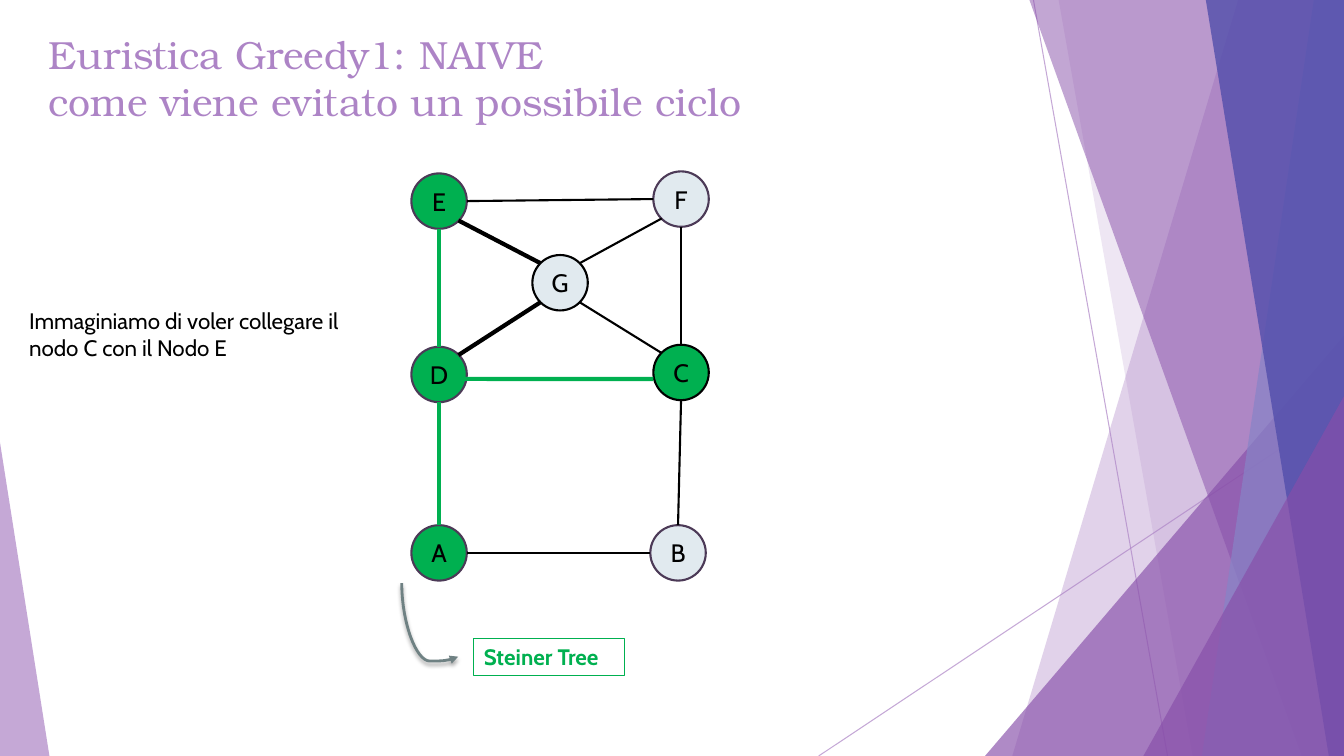
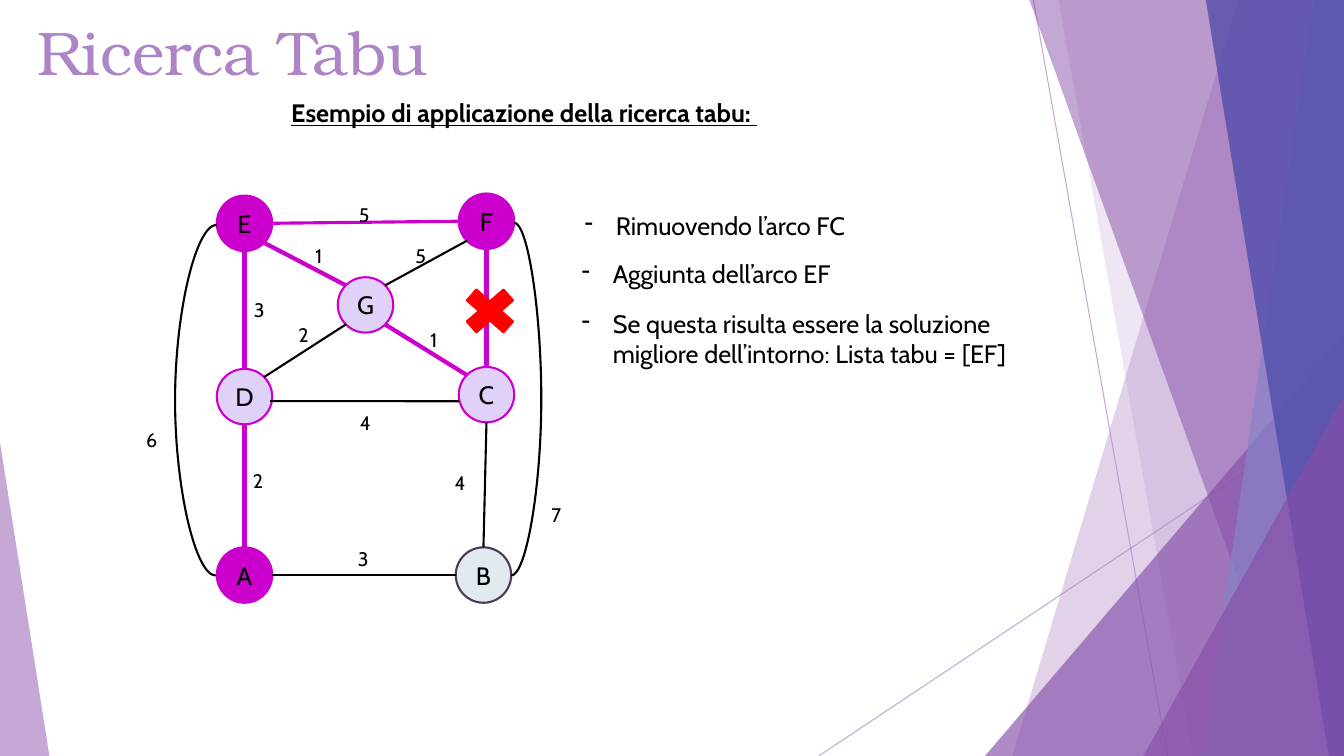
from lxml import etree
from pptx import Presentation
from pptx.dml.color import RGBColor
from pptx.enum.shapes import MSO_CONNECTOR, MSO_SHAPE
from pptx.enum.text import MSO_ANCHOR, MSO_AUTO_SIZE, PP_ALIGN
from pptx.oxml.ns import qn
from pptx.util import Inches, Pt

STRAIGHT, CURVE = MSO_CONNECTOR.STRAIGHT, MSO_CONNECTOR.CURVE
ELLIPSE, TRIANGLE = MSO_SHAPE.OVAL, MSO_SHAPE.ISOSCELES_TRIANGLE
CROSS = MSO_SHAPE.MATH_MULTIPLY
LEFT, CENTER = PP_ALIGN.LEFT, PP_ALIGN.CENTER
TOP, MIDDLE = MSO_ANCHOR.TOP, MSO_ANCHOR.MIDDLE

BLACK = RGBColor(0x00, 0x00, 0x00)
LILAC = RGBColor(0xAD, 0x84, 0xC6)
VIOLET = RGBColor(0x87, 0x4E, 0xA9)
PERIWINKLE = RGBColor(0x87, 0x84, 0xC7)
INDIGO = RGBColor(0x52, 0x4E, 0xAB)
PLUM = RGBColor(0x4C, 0x3A, 0x57)
GREEN = RGBColor(0x00, 0xB0, 0x50)
RED = RGBColor(0xFF, 0x00, 0x00)
MAGENTA = RGBColor(0xCC, 0x00, 0xCC)
PALE_LILAC = RGBColor(0xDF, 0xD1, 0xF7)
PALE_GREY = RGBColor(0xE1, 0xEA, 0xEF)
SLATE = RGBColor(0x6F, 0x81, 0x83)

WIDTH, HEIGHT = 13.33, 7.5
TITLE_FONT, BODY_FONT = "TeX Gyre Bonum", "Cabin"

# Background, back to front: lines (begin, end), then
# bands (top x, bottom x, colour, opacity) and
# triangles (left, top, width, apex, colour, opacity)
THIN_LINES = [((10.25, 0), (11.58, HEIGHT)), ((WIDTH, 4.03), (8.12, HEIGHT))]
FACETS = [
    (12.28, 10.04, LILAC, 36),
    (10.5, 11.83, LILAC, 20),
    (9.77, 3.33, 3.56, 1, VIOLET, 66),
    (10.21, 12.91, VIOLET, 50),
    (13.03, 11.92, PERIWINKLE, 70),
    (11.96, 13.18, INDIGO, 80),
    (11.34, 3.93, 1.99, 1, VIOLET, 66),
    (0, 4.39, 0.49, 0, LILAC, 70),
]

# Graph: node corners measured from node E, edges as pairs of sites
NODE_SIZE = 0.55
NODES = {"E": (0, 0), "F": (2.4, -0.02), "G": (1.2, 0.81), "D": (0, 1.72),
         "C": (2.4, 1.7), "A": (0, 3.49), "B": (2.37, 3.49)}
SITES = {"top": (0.5, 0), "left": (0, 0.5), "bottom": (0.5, 1), "right": (1, 0.5),
         "top left": (0.15, 0.15), "top right": (0.85, 0.15),
         "bottom left": (0.15, 0.85), "bottom right": (0.85, 0.85),
         "low left": (0, 0.62), "low right": (0.96, 0.58)}
EDGES = {
    "EF": ("right", "left"),
    "ED": ("bottom", "top"),
    "DA": ("bottom", "top"),
    "FC": ("bottom", "top"),
    "CB": ("bottom", "top"),
    "AB": ("right", "left"),
    "EG": ("bottom right", "top left"),
    "DG": ("top right", "bottom left"),
    "GC": ("bottom right", "top left"),
    "FG": ("bottom left", "top right"),
    "DC": ("low right", "low left"),
}
PLAIN_EDGE = (BLACK, 1.5)

# Slide 1: node (fill, line) and edge (colour, width)
NAIVE_TITLE = ["Euristica Greedy1: NAIVE", "come viene evitato un possibile ciclo"]
NAIVE_NODES = {**dict.fromkeys("EDA", (GREEN, PLUM)), **dict.fromkeys("FB", (PALE_GREY, PLUM)),
               "C": (GREEN, BLACK), "G": (PALE_GREY, BLACK)}
NAIVE_EDGES = {**dict.fromkeys(["ED", "DA", "DC"], (GREEN, 3)),
               **dict.fromkeys(["EG", "DG"], (BLACK, 3))}
NAIVE_TEXT = "Immaginiamo di voler collegare il nodo C con il Nodo E"

# Slide 2
TABU_TITLE = ["Ricerca Tabu"]
TABU_HEADING = "Esempio di applicazione della ricerca tabu: "
TABU_NODES = {**dict.fromkeys("EFA", (MAGENTA, MAGENTA)),
              **dict.fromkeys("GDC", (PALE_LILAC, MAGENTA)), "B": (PALE_GREY, PLUM)}
TABU_EDGES = {**dict.fromkeys(["ED", "DA", "EG", "GC", "FC"], (MAGENTA, 3)),
              "EF": (MAGENTA, 2.25)}
TABU_ARCS = [((2.15, 2.23), (2.14, 5.71), 42), ((5.1, 2.21), (5.07, 5.71), -9)]
TABU_WEIGHTS = [
    ("3", 3.45, 5.38), ("4", 4.41, 4.62), ("4", 3.47, 4.03), ("6", 1.35, 4.2),
    ("5", 4.02, 2.37), ("2", 2.41, 4.6), ("5", 3.46, 1.96), ("1", 3.03, 2.37),
    ("2", 2.86, 3.15), ("1", 4.17, 3.2), ("3", 2.42, 2.91), ("7", 5.37, 4.94),
]
TABU_STEPS = [
    ("Rimuovendo l’arco FC", (5.7, 2.04, 4.1, 0.71)),
    ("Aggiunta dell’arco EF", (5.67, 2.51, 4.1, 0.71)),
    ("Se questa risulta essere la soluzione migliore dell’intorno: Lista tabu = [EF]",
     (5.67, 3.01, 5.14, 1.01)),
]


def inches(values):
    return [Inches(value) for value in values]


def set_all(target, values):
    for name, value in values.items():
        setattr(target, name, value)


def set_opacity(part, percent):
    color = part.element.spPr.find(".//" + qn("a:srgbClr"))
    etree.SubElement(color, qn("a:alpha"), val=str(percent * 1000))


def write(para, text, size, color=BLACK, font=BODY_FONT, **style):
    span = para.add_run()
    span.text = text
    set_all(span.font, {"name": font, "size": Pt(size), **style})
    span.font.color.rgb = color


def paint(shape, fill, line=None, width=1.5):
    shape.shadow.inherit = False
    shape.fill.solid()
    shape.fill.fore_color.rgb = fill
    if line is None:
        shape.line.fill.background()
    else:
        shape.line.color.rgb = line
        shape.line.width = Pt(width)


def add_line(page, begin, end, color, width, kind=STRAIGHT):
    line = page.shapes.add_connector(kind, *inches([*begin, *end]))
    line.line.color.rgb = color
    line.line.width = Pt(width)
    etree.SubElement(line.element.spPr, qn("a:effectLst"))
    return line


def add_curve(page, begin, end, bend, color, width):
    curve = add_line(page, begin, end, color, width, CURVE)
    geometry = curve.element.spPr.find(qn("a:prstGeom"))
    geometry.set("prst", "curvedConnector3")
    guides = geometry.find(qn("a:avLst"))
    if guides is None:
        guides = etree.SubElement(geometry, qn("a:avLst"))
    etree.SubElement(guides, qn("a:gd"), name="adj1", fmla=f"val {round(bend * 100000)}")
    return curve


def add_text(page, text, at, size, wrap=True, **style):
    box = page.shapes.add_textbox(*inches(at))
    box.text_frame.word_wrap = wrap
    write(box.text_frame.paragraphs[0], text, size, **style)
    return box


def add_step(page, text, at):
    box = add_text(page, text, at, 18)
    properties = box.text_frame.paragraphs[0]._p.get_or_add_pPr()
    properties.set("marL", str(Inches(0.31)))
    properties.set("indent", str(-Inches(0.31)))
    etree.SubElement(properties, qn("a:buChar"), char="-")


def add_facet(page, *numbers, color, opacity):
    if len(numbers) == 2:
        top_x, bottom_x = numbers
        corners = [(WIDTH, 0), (WIDTH, HEIGHT), (bottom_x, HEIGHT)]
        outline = page.shapes.build_freeform(Inches(top_x), 0)
        outline.add_line_segments([inches(corner) for corner in corners], close=True)
        facet = outline.convert_to_shape()
    else:
        left, top, width, apex = numbers
        facet = page.shapes.add_shape(TRIANGLE, *inches([left, top, width, HEIGHT - top]))
        facet.adjustments[0] = apex
    paint(facet, color)
    set_opacity(facet, opacity)
    return facet


def add_background(page):
    """Draw the facets and move them to the layout that all slides share."""
    parts = []
    for begin, end in THIN_LINES:
        line = add_line(page, begin, end, LILAC, 0.75)
        set_opacity(line, 70)
        parts.append(line)
    for *numbers, color, opacity in FACETS:
        parts.append(add_facet(page, *numbers, color=color, opacity=opacity))
    tree = page.slide_layout.shapes.element
    for index, part in enumerate(parts):
        part.element.xpath(".//p:cNvPr")[0].set("id", str(100 + index))
        tree.insert(2 + index, part.element)


def set_title(page, lines, at, size):
    title = page.shapes.title
    set_all(title, dict(zip(("left", "top", "width", "height"), inches(at))))
    set_all(title.text_frame, {"word_wrap": True, "vertical_anchor": TOP,
                               "auto_size": MSO_AUTO_SIZE.NONE})
    para = title.text_frame.paragraphs[0]
    para.alignment = LEFT
    for index, line in enumerate(lines):
        if index:
            para.add_line_break()
        write(para, line, size, LILAC, TITLE_FONT)


def add_graph(page, left, top, node_styles, edge_styles):
    for name, (x, y) in NODES.items():
        node = page.shapes.add_shape(
            ELLIPSE, *inches([left + x, top + y, NODE_SIZE, NODE_SIZE]))
        paint(node, *node_styles[name])
        node.text_frame.vertical_anchor = MIDDLE
        para = node.text_frame.paragraphs[0]
        para.alignment = CENTER
        write(para, name, 18)
    for pair, sites in EDGES.items():
        ends = [(left + NODES[name][0] + SITES[site][0] * NODE_SIZE,
                 top + NODES[name][1] + SITES[site][1] * NODE_SIZE)
                for name, site in zip(pair, sites)]
        add_line(page, *ends, *edge_styles.get(pair, PLAIN_EDGE))


def add_tree_arrow(page):
    arrow = add_curve(page, (4.63, 5.87), (3.9, 6.43), 1.06, SLATE, 2)
    properties = arrow.element.spPr
    properties.find(qn("a:xfrm")).set("rot", str(270 * 60000))
    etree.SubElement(properties.find(qn("a:ln")), qn("a:tailEnd"), type="triangle")
    shadow = etree.SubElement(properties.find(qn("a:effectLst")), qn("a:outerShdw"),
                              blurRad=str(Pt(3)), dist=str(Pt(2)), dir=str(90 * 60000))
    color = etree.SubElement(shadow, qn("a:srgbClr"), val=str(BLACK))
    etree.SubElement(color, qn("a:alpha"), val="35000")


def build_naive(page):
    set_title(page, NAIVE_TITLE, (0.38, 0.25, 9.87, 1.44), 28)
    add_graph(page, 4.08, 1.72, NAIVE_NODES, NAIVE_EDGES)
    add_text(page, NAIVE_TEXT, (0.19, 3, 3.52, 0.64), 16)
    add_tree_arrow(page)
    label = add_text(page, "Steiner Tree", (4.7, 6.33, 1.49, 0.37), 16,
                     wrap=False, color=GREEN, bold=True)
    label.line.color.rgb = GREEN
    label.line.width = Pt(0.75)


def build_tabu(page):
    set_title(page, TABU_TITLE, (0.27, 0.09, 9.4, 1.44), 44)
    add_text(page, TABU_HEADING, (2.79, 0.92, 5.51, 0.4), 18, bold=True, underline=True)
    add_graph(page, 2.15, 1.94, TABU_NODES, TABU_EDGES)
    for begin, end, bend in TABU_ARCS:
        add_curve(page, begin, end, bend, *PLAIN_EDGE)
    for weight, left, top in TABU_WEIGHTS:
        add_text(page, weight, (left, top, 0.69, 0.34), 14)
    cross = page.shapes.add_shape(CROSS, *inches([4.51, 2.78, 0.7, 0.61]))
    paint(cross, RED, RED)
    for text, at in TABU_STEPS:
        add_step(page, text, at)


def main():
    deck = Presentation()
    deck.slide_width, deck.slide_height = inches([WIDTH, HEIGHT])
    title_only = deck.slide_layouts[5]
    pages = [deck.slides.add_slide(title_only) for _ in range(2)]
    add_background(pages[0])
    for build, page in zip((build_naive, build_tabu), pages):
        build(page)
    deck.save("out.pptx")


if __name__ == "__main__":
    main()
